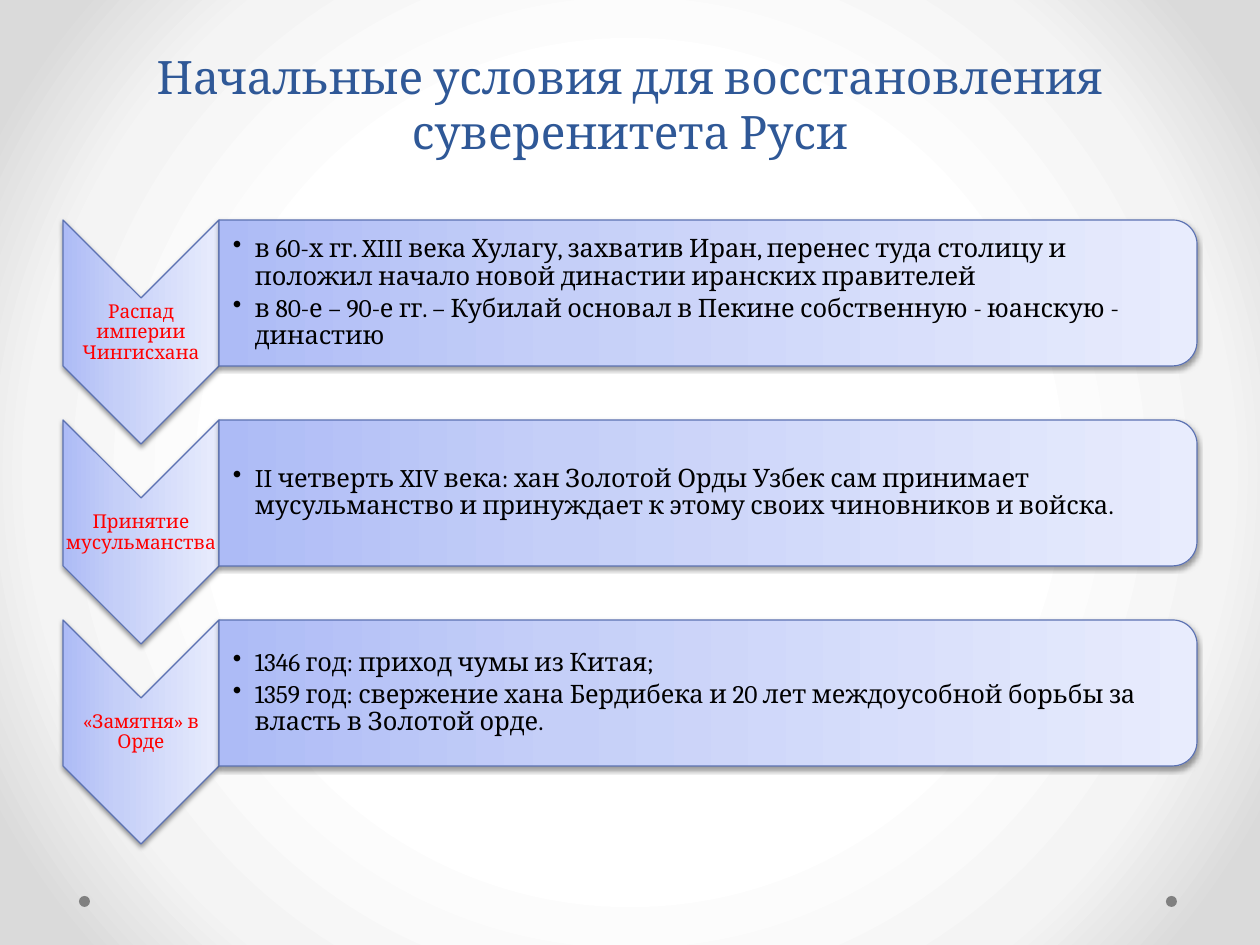
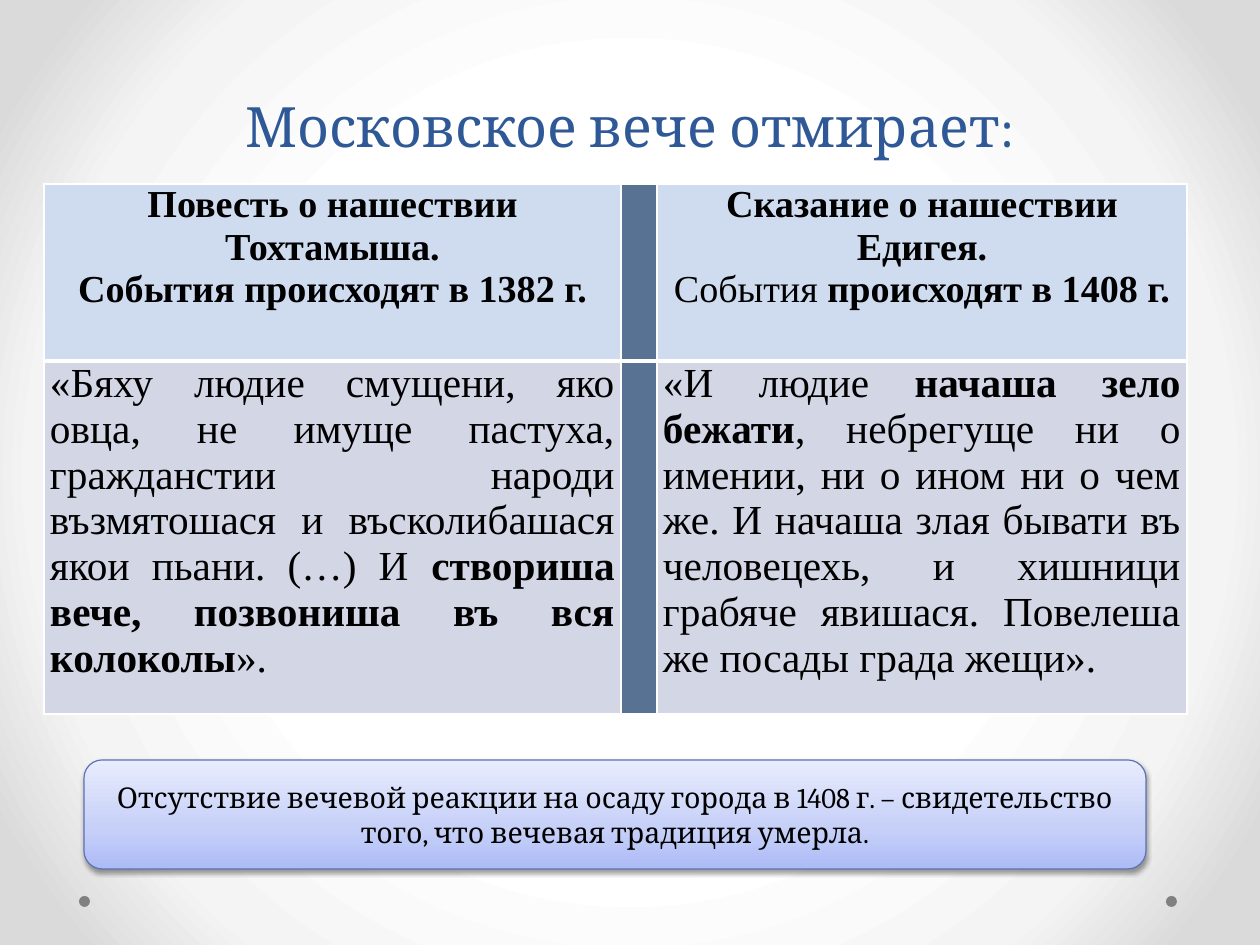
import dataclasses

import pptx
import pptx.dml.color
import pptx.enum.shapes
import pptx.enum.text
import pptx.oxml
import pptx.oxml.ns
import pptx.util

SHAPE = pptx.enum.shapes.MSO_SHAPE
ALIGN = pptx.enum.text.PP_ALIGN
ANCHOR = pptx.enum.text.MSO_ANCHOR
NAMESPACE = pptx.oxml.ns.nsdecls("a")
EMU_PER_PX = 8000
SLIDE_WIDTH, SLIDE_HEIGHT = 1260, 945


@dataclasses.dataclass(frozen=True)
class Theme:
    heading_font: str = "Cambria"
    table_font: str = "Times New Roman"
    title: str = "2F5897"
    text: str = "000000"
    label: str = "FF0000"
    dot: str = "808080"
    outline: str = "5C72B2"
    border: str = "FFFFFF"
    header_fill: str = "CFDCF0"
    quote_fill: str = "D2D6E5"
    divider_fill: str = "577293"
    background: tuple = ((50, "FFFFFF"), (76, "F4F4F4"), (92, "DADADA"))
    panel: tuple = ((0, "ADBBF6"), (35, "C5CFF8"), (100, "E8ECFD"))
    label_size: int = 12
    body_size: int = 16
    callout_size: int = 18
    header_size: int = 24
    quote_size: int = 26


THEME = Theme()


# Shared helpers
def px(value):
    return pptx.util.Emu(int(value * EMU_PER_PX))


def rgb(value):
    return pptx.dml.color.RGBColor.from_string(value)


def apply(target, values):
    for name, value in values.items():
        setattr(target, name, value)


def set_gradient(fill, owner, stops, direction):
    """Replace the default gradient stops and direction of a fill."""
    fill.gradient()
    gradient = owner.find(".//" + pptx.oxml.ns.qn("a:gradFill"))
    gradient.set("rotWithShape", "1")
    for child in list(gradient):
        gradient.remove(child)
    marks = "".join(
        f'<a:gs pos="{position * 1000}"><a:srgbClr val="{color}"/></a:gs>'
        for position, color in stops)
    for xml in (f"<a:gsLst {NAMESPACE}>{marks}</a:gsLst>", direction):
        gradient.append(pptx.oxml.parse_xml(xml))


def write_paragraph(paragraph, runs, font, size, color, layout):
    """Write (text, bold) runs in one paragraph."""
    apply(paragraph, layout)
    for text, bold in runs:
        run = paragraph.add_run()
        run.text = text
        apply(run.font, {"name": font, "size": pptx.util.Pt(size), "bold": bold})
        run.font.color.rgb = rgb(color)


def set_frame(frame, anchor, insets):
    left, top, right, bottom = map(px, insets)
    apply(frame, {"word_wrap": True, "vertical_anchor": anchor,
                  "margin_left": left, "margin_top": top,
                  "margin_right": right, "margin_bottom": bottom})


def add_text(slide, box, insets, anchor=ANCHOR.MIDDLE):
    frame = slide.shapes.add_textbox(*map(px, box)).text_frame
    set_frame(frame, anchor, insets)
    return frame


def add_panel(slide, kind, box, turned=False):
    """Add a shaded panel; a turned one fills the box after a quarter turn."""
    left, top, width, height = box
    if turned:
        left, top = left + (width - height) / 2, top + (height - width) / 2
        width, height = height, width
    shape = slide.shapes.add_shape(kind, *map(px, (left, top, width, height)))
    shape.rotation = 90 if turned else 0
    set_gradient(shape.fill, shape.element, THEME.panel,
                 f'<a:lin {NAMESPACE} ang="16200000" scaled="0"/>')
    shape.line.color.rgb = rgb(THEME.outline)
    shape.line.width = pptx.util.Pt(0.75)
    shape.shadow.inherit = False
    effects = shape.element.spPr.find(pptx.oxml.ns.qn("a:effectLst"))
    effects.append(pptx.oxml.parse_xml(
        f'<a:outerShdw {NAMESPACE} blurRad="40000" dist="20000" dir="5400000" '
        'rotWithShape="0"><a:srgbClr val="000000"><a:alpha val="38000"/>'
        '</a:srgbClr></a:outerShdw>'))
    return shape


# Shared slide frame: background, corner dots, title
def add_slide(presentation, title, box, size, line_spacing=None):
    slide = presentation.slides.add_slide(presentation.slide_layouts[6])
    set_gradient(slide.background.fill, slide.element, THEME.background,
                 f'<a:path {NAMESPACE} path="circle"><a:fillToRect l="50000" '
                 't="50000" r="50000" b="50000"/></a:path>')
    for left in (1166, 79):
        dot = slide.shapes.add_shape(SHAPE.OVAL, *map(px, (left, 896, 11, 11)))
        dot.fill.solid()
        dot.fill.fore_color.rgb = rgb(THEME.dot)
        dot.line.fill.background()
        dot.shadow.inherit = False
    frame = add_text(slide, box, (13, 7, 13, 7), ANCHOR.BOTTOM)
    write_paragraph(frame.paragraphs[0], [(title, False)], THEME.heading_font, size,
                    THEME.title, {"alignment": ALIGN.CENTER, "line_spacing": line_spacing})
    return slide


# Chevron list: one labelled arrow and one bulleted bar per row
def add_chevron_row(slide, box, label, points):
    left, top, width, height = box
    arrow_width, bar_height, indent = 156, 146, 22
    bar_left, bar_width = left + arrow_width, width - arrow_width

    add_panel(slide, SHAPE.CHEVRON, (left, top, arrow_width, height), turned=True)
    frame = add_text(slide, (left, top + 79, arrow_width, 67), (1, 1, 1, 1))
    write_paragraph(frame.paragraphs[0], [(label, False)], THEME.heading_font,
                    THEME.label_size, THEME.label,
                    {"alignment": ALIGN.CENTER, "line_spacing": 0.9})

    add_panel(slide, SHAPE.ROUND_2_SAME_RECTANGLE,
              (bar_left, top, bar_width, bar_height), turned=True)
    frame = add_text(slide, (bar_left, top + 7, bar_width - 8, 132), (14, 1, 1, 1))
    for index, point in enumerate(points):
        paragraph = frame.add_paragraph() if index else frame.paragraphs[0]
        properties = paragraph._p.get_or_add_pPr()
        properties.set("marL", str(px(indent)))
        properties.set("indent", str(px(-indent)))
        properties.append(pptx.oxml.parse_xml(f'<a:buChar {NAMESPACE} char="•"/>'))
        write_paragraph(paragraph, [(point, False)], THEME.heading_font,
                        THEME.body_size, THEME.text,
                        {"line_spacing": 0.9, "space_after": pptx.util.Pt(3)})


def build_conditions_slide(presentation):
    slide = add_slide(presentation, "Начальные условия для восстановления суверенитета Руси",
                      (63, 31, 1134, 135), 29)
    rows = [
        ("Распад империи Чингисхана", [
            "в 60-х гг. XIII века Хулагу, захватив Иран, перенес туда столицу и "
            "положил начало новой династии иранских правителей",
            "в 80-е – 90-е гг. – Кубилай основал в Пекине собственную - юанскую - династию"]),
        ("Принятие мусульманства", [
            "II четверть XIV века: хан Золотой Орды Узбек сам принимает "
            "мусульманство и принуждает к этому своих чиновников и войска."]),
        ("«Замятня» в Орде", [
            "1346 год: приход чумы из Китая;",
            "1359 год: свержение хана Бердибека и 20 лет междоусобной борьбы за "
            "власть в Золотой орде."]),
    ]
    for index, (label, points) in enumerate(rows):
        add_chevron_row(slide, (63, 220 + 200 * index, 1134, 224), label, points)


# Comparison table: two sources split by a dark divider column
def set_borders(cell, widths):
    properties = cell._tc.get_or_add_tcPr()
    for index, (side, width) in enumerate(widths.items()):
        properties.insert(index, pptx.oxml.parse_xml(
            f'<a:ln{side} {NAMESPACE} w="{width * 12700}"><a:solidFill>'
            f'<a:srgbClr val="{THEME.border}"/></a:solidFill></a:ln{side}>'))


def add_comparison(slide, box, columns, rows, headers, quotes):
    table = slide.shapes.add_table(2, 3, *map(px, box)).table
    apply(table, {"first_row": False, "horz_banding": False})
    for column, width in zip(table.columns, columns):
        column.width = px(width)
    styles = [
        (headers, THEME.header_fill, THEME.header_size, ALIGN.CENTER, {"T": 1, "B": 3}),
        (quotes, THEME.quote_fill, THEME.quote_size, ALIGN.JUSTIFY, {"T": 3, "B": 1}),
    ]
    for row, (texts, fill, size, alignment, edges) in enumerate(styles):
        table.rows[row].height = px(rows[row])
        for column, paragraphs in enumerate((texts[0], [], texts[1])):
            cell = table.cell(row, column)
            apply(cell, {"margin_left": px(6), "margin_right": px(6),
                         "margin_top": 0, "margin_bottom": 0})
            cell.fill.solid()
            cell.fill.fore_color.rgb = rgb(fill if paragraphs else THEME.divider_fill)
            set_borders(cell, {"L": 1, "R": 1, **edges})
            frame = cell.text_frame
            for index, runs in enumerate(paragraphs):
                paragraph = frame.add_paragraph() if index else frame.paragraphs[0]
                write_paragraph(paragraph, runs, THEME.table_font, size, THEME.text,
                                {"alignment": alignment})


def add_callout(slide, box, text):
    frame = add_panel(slide, SHAPE.ROUNDED_RECTANGLE, box).text_frame
    set_frame(frame, ANCHOR.MIDDLE, (13, 7, 13, 7))
    write_paragraph(frame.paragraphs[0], [(text, False)], THEME.heading_font,
                    THEME.callout_size, THEME.text, {"alignment": ALIGN.CENTER})


def build_assembly_slide(presentation):
    slide = add_slide(presentation, "Московское вече отмирает:", (63, 49, 1134, 117), 35,
                      pptx.util.Pt(63.9))
    headers = [
        [[("Повесть о нашествии Тохтамыша.", True)],
         [("События происходят в 1382 г.", True)]],
        [[("Сказание о нашествии Едигея.", True)],
         [("События", False), (" происходят в 1408 г.", True)]],
    ]
    quotes = [
        [[("«Бяху людие смущени, яко овца, не имуще пастуха, гражданстии народи "
           "възмятошася и въсколибашася якои пьани. (…) И ", False),
          ("створиша вече, позвониша въ вся колоколы", True), ("».", False)]],
        [[("«И людие ", False), ("начаша зело бежати", True),
          (", небрегуще ни о имении, ни о ином ни о чем же. И начаша злая бывати въ "
           "человецехь, и хишници грабяче явишася. Повелеша же посады града жещи».", False)]],
    ]
    add_comparison(slide, (44, 184, 1143, 530), (577, 36, 530), (177, 353), headers, quotes)
    add_callout(slide, (84, 760, 1062, 109),
                "Отсутствие вечевой реакции на осаду города в 1408 г. – свидетельство "
                "того, что вечевая традиция умерла.")


def main():
    presentation = pptx.Presentation()
    apply(presentation, {"slide_width": px(SLIDE_WIDTH), "slide_height": px(SLIDE_HEIGHT)})
    build_conditions_slide(presentation)
    build_assembly_slide(presentation)
    presentation.save("out.pptx")


if __name__ == "__main__":
    main()
